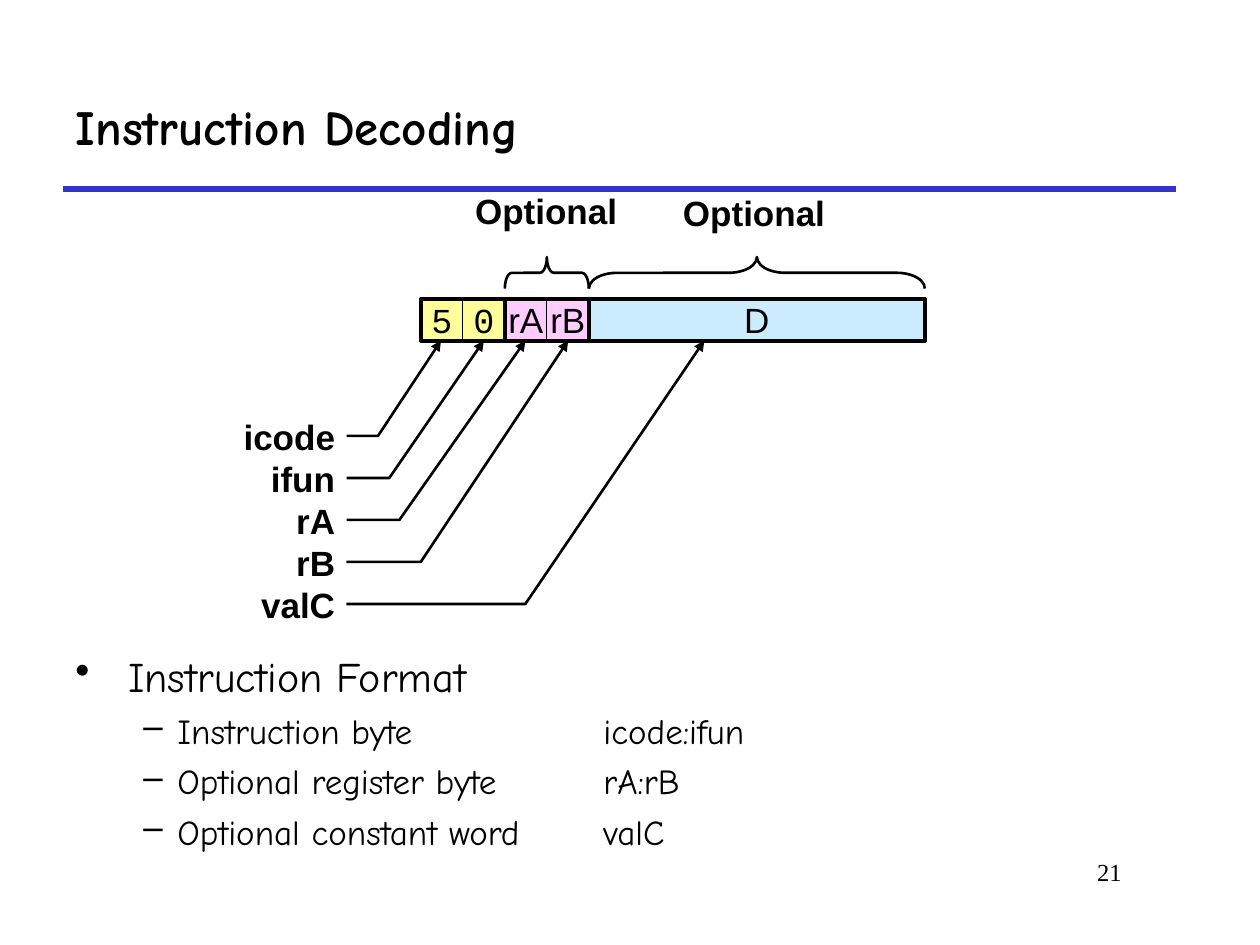
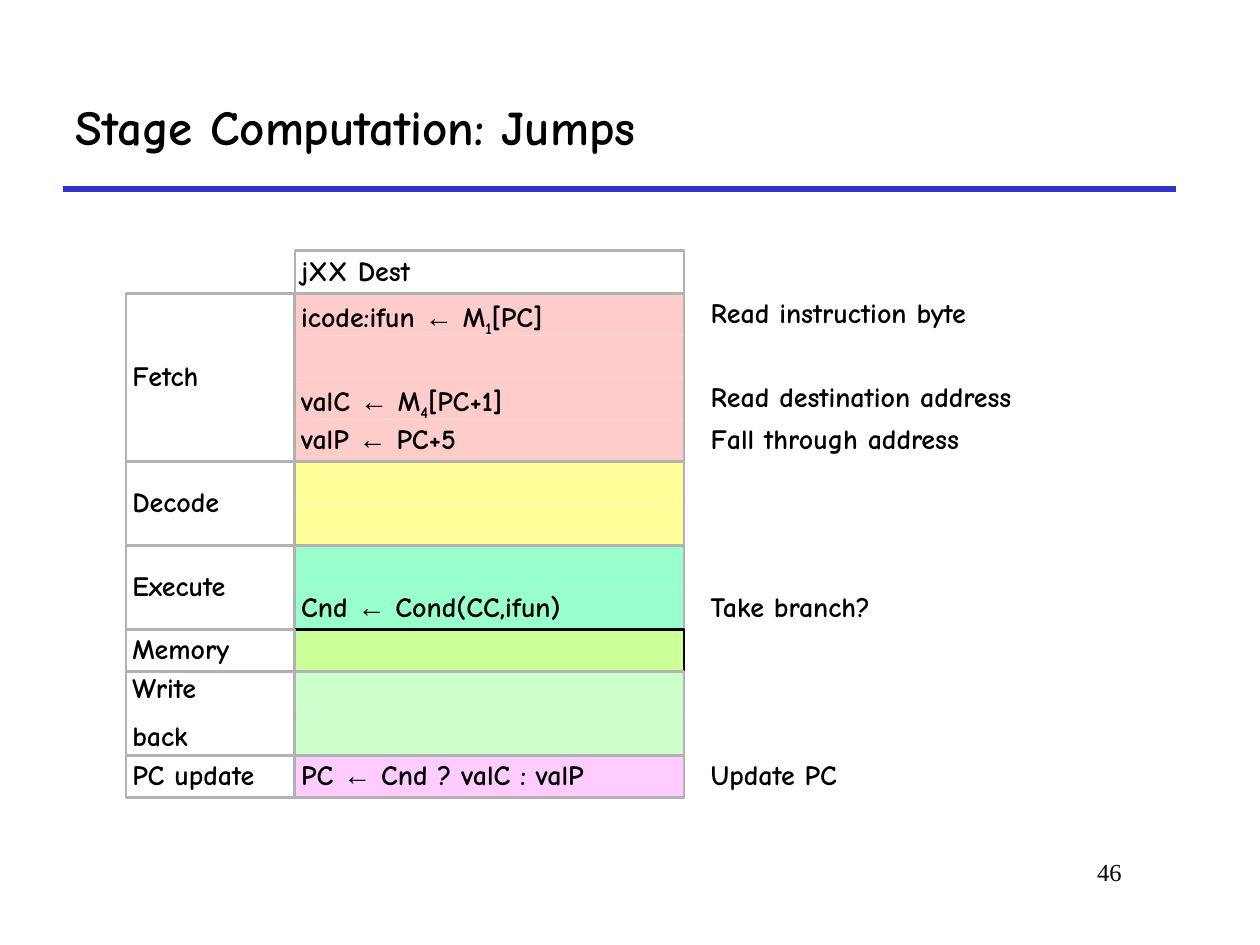
from itertools import groupby

from lxml import etree
from pptx import Presentation
from pptx import util as u
from pptx.dml.color import RGBColor
from pptx.enum import shapes, text
from pptx.oxml.ns import qn

BLACK, BLUE, GREY = "000000", "3333CC", "B2B2B2"
YELLOW, PINK, SKY = "FFFF99", "FFCCFF", "CCECFF"
COMIC, ARIAL, COURIER, TIMES = "Comic Neue", "Arial", "Courier New", "Times New Roman"
SUBSCRIPTS = {"₁": "1", "₄": "4"}
LEFT, CENTER, RIGHT = text.PP_ALIGN.LEFT, text.PP_ALIGN.CENTER, text.PP_ALIGN.RIGHT
TOP, MIDDLE = text.MSO_ANCHOR.TOP, text.MSO_ANCHOR.MIDDLE
RECT = shapes.MSO_SHAPE.RECTANGLE
UNIT = 1 / 3


def rgb(value):
    return RGBColor.from_string(value)


def sub(parent, tag, **attrs):
    return etree.SubElement(parent, qn(tag), attrs)


def kind(char):
    return "arrow" if char == "←" else "sub" if char in SUBSCRIPTS else "plain"


class Deck:
    def __init__(self):
        self.prs = Presentation()
        self.prs.slide_width, self.prs.slide_height = u.Inches(10), u.Inches(7.5)
        self.s = None

    def slide(self, title, number):
        self.s = self.prs.slides.add_slide(self.prs.slide_layouts[5])
        line = self.s.shapes.add_connector(
            shapes.MSO_CONNECTOR.STRAIGHT,
            *(u.Inches(v) for v in (0.5, 1.5, 9.33, 1.5)))
        line.line.color.rgb, line.line.width = rgb(BLUE), u.Pt(3)
        sub(line.element.spPr, "a:effectLst")
        sp = self.s.shapes.title
        sp.left, sp.top, sp.width, sp.height = (u.Inches(v) for v in (0.5, 0.5, 8.83, 1))
        self.fill_text(sp, [title], 28, bold=True, anchor=MIDDLE)
        self.label(number, 7.58, 6.75, 1.42, 0.5, size=14, font=TIMES, align=RIGHT,
                   inset=0.1)

    def run(self, p, value, size, font, bold, baseline=None):
        r = p.add_run()
        r.text = value
        r.font.size, r.font.name, r.font.bold = u.Pt(size), font, bold
        r.font.color.rgb = rgb(BLACK)
        if baseline:
            r._r.get_or_add_rPr().set("baseline", baseline)

    def fill_text(self, sp, lines, size, font=COMIC, bold=False, align=LEFT, anchor=TOP,
                  inset=0.1, spacing=None, before=0, wrap=True):
        tf = sp.text_frame
        tf.word_wrap, tf.auto_size = wrap, text.MSO_AUTO_SIZE.NONE
        tf.vertical_anchor = anchor
        tf.margin_left = tf.margin_right = u.Inches(inset)
        tf.margin_top = tf.margin_bottom = u.Inches(0.05)
        for i, line in enumerate(lines):
            p = tf.add_paragraph() if i else tf.paragraphs[0]
            p.alignment = align
            if spacing:
                p.line_spacing = spacing
            if i:
                p.space_before = u.Pt(before)
            for role, chars in groupby(line, kind):
                part = "".join(SUBSCRIPTS.get(c, c) for c in chars)
                self.run(p, part, size, ARIAL if role == "arrow" else font, bold,
                         "-25000" if role == "sub" else None)

    def label(self, value, x, y, w, h, **style):
        sp = self.s.shapes.add_textbox(*(u.Inches(v) for v in (x, y, w, h)))
        self.fill_text(sp, [value], **style)

    def finish(self, sp, fill, line, width):
        sp.shadow.inherit = False
        if fill:
            sp.fill.solid()
            sp.fill.fore_color.rgb = rgb(fill)
        else:
            sp.fill.background()
        if line:
            sp.line.color.rgb, sp.line.width = rgb(line), u.Pt(width)
        else:
            sp.line.fill.background()

    def box(self, x, y, w, h, fill=None, line=None, width=1.5, lines=(), **style):
        sp = self.s.shapes.add_shape(RECT, *(u.Inches(v) for v in (x, y, w, h)))
        self.finish(sp, fill, line, width)
        if lines:
            self.fill_text(sp, lines, **style)

    def brace(self, x, y, length, depth=0.25):
        sp = self.s.shapes.add_shape(
            shapes.MSO_SHAPE.LEFT_BRACE, u.Inches(x + (length - depth) / 2),
            u.Inches(y + (depth - length) / 2), u.Inches(depth), u.Inches(length))
        sp.rotation = 90
        sp.adjustments[0] = length / 12 / depth
        self.finish(sp, None, BLACK, 1.5)

    def arrow(self, start, *points):
        fb = self.s.shapes.build_freeform(*(u.Inches(v) for v in start))
        fb.add_line_segments([(u.Inches(x), u.Inches(y)) for x, y in points], close=False)
        sp = fb.convert_to_shape()
        self.finish(sp, None, BLACK, 1.5)
        sub(sp.element.spPr.find(qn("a:ln")), "a:tailEnd", type="triangle")

    def bullets(self, items, x, y, w, h, tab):
        sp = self.s.shapes.add_textbox(*(u.Inches(v) for v in (x, y, w, h)))
        tf = sp.text_frame
        tf.word_wrap = True
        for i, (level, value) in enumerate(items):
            p = tf.add_paragraph() if i else tf.paragraphs[0]
            p.level = level
            size, char, margin, hang = [(24, "•", 0.42, 0.42), (20, "–", 0.81, 0.27)][level]
            pPr = p._p.get_or_add_pPr()
            pPr.set("marL", str(u.Inches(margin)))
            pPr.set("indent", str(-u.Inches(hang)))
            sub(sub(pPr, "a:buClr"), "a:srgbClr", val=BLACK)
            sub(pPr, "a:buChar", char=char)
            sub(sub(pPr, "a:tabLst"), "a:tab", pos=str(u.Inches(tab)), algn="l")
            if i:
                p.space_before = u.Pt(5)
            self.run(p, value, size, COMIC, False)


def decoding(deck):
    deck.slide("Instruction Decoding", "21")
    deck.bullets([(0, "Instruction Format"),
                  (1, "Instruction byte\ticode:ifun"),
                  (1, "Optional register byte\trA:rB"),
                  (1, "Optional constant word\tvalC")], 0.5, 5.11, 9.08, 1.73, tab=4.19)

    left, top = 3.34, 2.37
    cell = dict(size=20, align=CENTER, anchor=MIDDLE, wrap=False)
    for b, (names, fill, font) in enumerate([("5 0", YELLOW, COURIER), ("rA rB", PINK, ARIAL)]):
        x = left + b * 2 * UNIT
        for i, name in enumerate(names.split()):
            deck.box(x + i * UNIT, top, UNIT, UNIT, fill, BLACK, 0.5, [name], font=font, **cell)
        deck.box(x, top, 2 * UNIT, UNIT, None, BLACK, 2.25)
    word = left + 4 * UNIT
    deck.box(word, top, 8 * UNIT, UNIT, SKY, BLACK, 2.25, ["D"], font=ARIAL, **cell)

    bold = dict(size=20, font=ARIAL, bold=True, inset=0.05, spacing=0.9)
    fields = [("icode", 3, 3.5), ("ifun", 3.09, 3.84), ("rA", 3.17, 4.17),
              ("rB", 3.34, 4.51), ("valC", 4.17, 5.59)]
    for i, (name, elbow, target) in enumerate(fields):
        y = 3.46 + i * UNIT
        deck.label(name, 1.67, y - 0.17, 1.04, 0.4, align=RIGHT, **bold)
        deck.arrow((2.75, y), (elbow, y), (target, top + UNIT))

    deck.brace(left + 2 * UNIT, 2.04, 2 * UNIT)
    deck.brace(word, 2.04, 8 * UNIT)
    for x, y in [(3.72, 1.49), (5.37, 1.51)]:
        deck.label("Optional", x, y, 1.23, 0.4, align=CENTER, wrap=False, **bold)


def jumps(deck):
    deck.slide("Stage Computation: Jumps", "46")
    stage_x, step_x, note_x = 1, 2.34, 5.59
    stage_w, step_w = 1.34, 3.09
    style = dict(size=16, bold=True, inset=0.05, spacing=0.9, before=10)
    blank = ("", "")
    stages = [
        (["Fetch"], "FFCCCC", GREY, [("icode:ifun ← M₁[PC]", "Read instruction byte"), blank,
                                     ("valC ← M₄[PC+1]", "Read destination address"),
                                     ("valP ← PC+5", "Fall through address")]),
        (["Decode"], YELLOW, GREY, [blank, blank]),
        (["Execute"], "99FFCC", GREY, [blank, ("Cnd ← Cond(CC,ifun)", "Take branch?")]),
        (["Memory"], "CCFF99", BLACK, [blank]),
        (["Write", "back"], "CCFFCC", GREY, [blank, blank]),
        (["PC update"], PINK, GREY, [("PC ← Cnd ? valC : valP", "Update PC")]),
    ]
    deck.box(step_x, 1.99, step_w, 0.34, None, GREY, lines=["jXX Dest"], **style)
    y = 2.33
    for names, fill, line, steps in stages:
        height = len(steps) * UNIT
        single = len(steps) == 1
        for i, (step, note) in enumerate(steps):
            row = y + i * UNIT
            deck.box(step_x, row, step_w, UNIT, fill, line if single else None,
                     lines=[step] if step else [], **style)
            if note:
                deck.label(note, note_x, row, step_w, UNIT, **style)
        if not single:
            deck.box(step_x, y, step_w, height, None, line)
        deck.box(stage_x, y, stage_w, height, None, GREY, lines=names, anchor=MIDDLE, **style)
        y += height


def main():
    deck = Deck()
    decoding(deck)
    jumps(deck)
    deck.prs.save("out.pptx")


if __name__ == "__main__":
    main()
